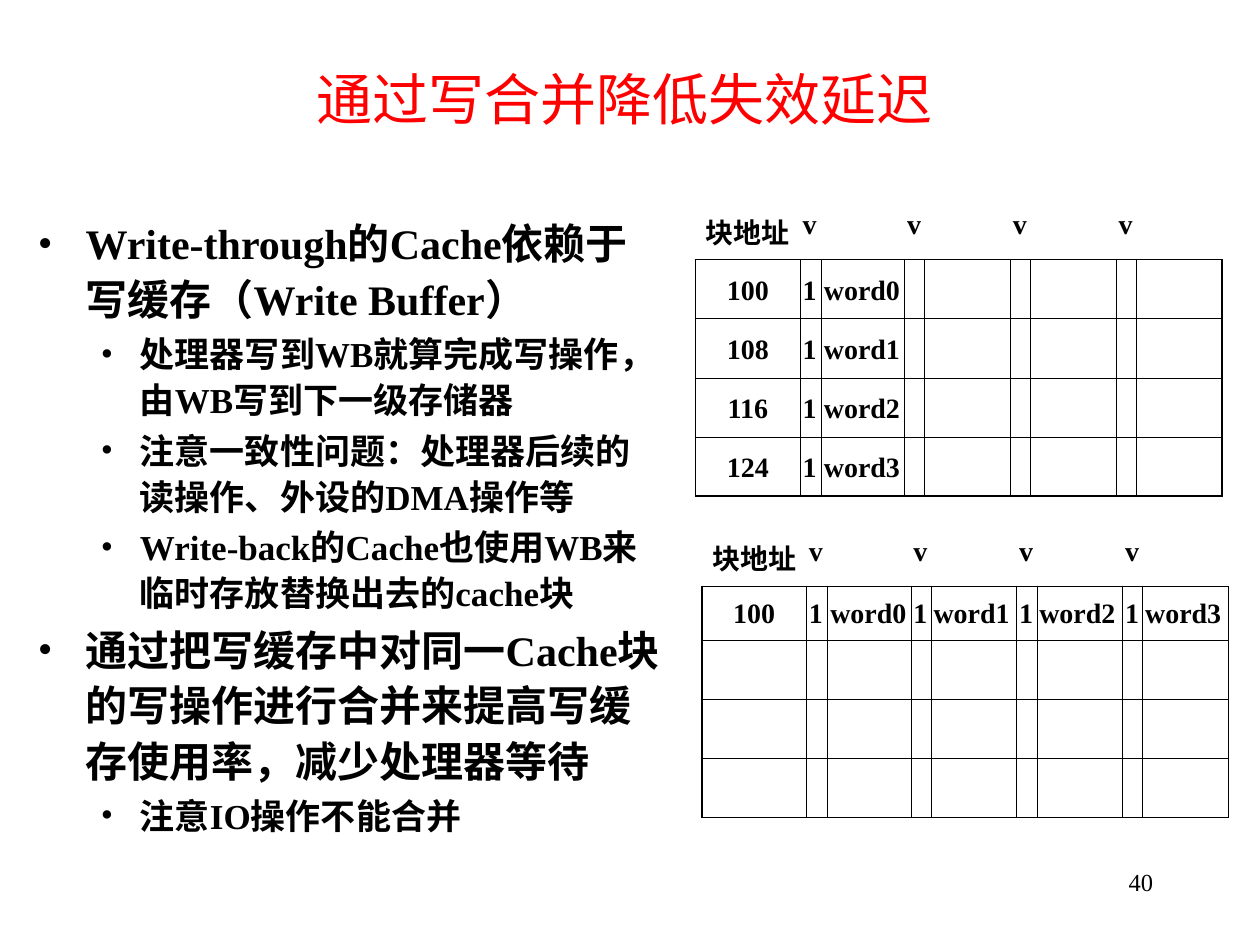
from lxml import etree
from pptx import Presentation
from pptx import util as u
from pptx.dml.color import RGBColor
from pptx.enum import text
from pptx.oxml import ns

BLACK = RGBColor(0x00, 0x00, 0x00)
RED = RGBColor(0xFF, 0x00, 0x00)
SERIF, SANS = "Times New Roman", "Arial"
NO_GRID_STYLE = "{2D5ABB26-0587-4C30-8999-92F81FD0307C}"
THIN, THICK = 0.45, 1.08

# Level: font size, left margin, hanging indent, space before
LEVELS = [(24, 0.38, -0.38, 3), (20, 0.81, -0.31, 2.5)]
POINTS = [
    (0, "Write-through的Cache依赖于写缓存（Write Buffer）"),
    (1, "处理器写到WB就算完成写操作，由WB写到下一级存储器"),
    (1, "注意一致性问题：处理器后续的读操作、外设的DMA操作等"),
    (1, "Write-back的Cache也使用WB来临时存放替换出去的cache块"),
    (0, "通过把写缓存中对同一Cache块的写操作进行合并来提高写缓存使用率，减少处理器等待"),
    (1, "注意IO操作不能合并"),
]

# Write buffer: one address column, then four pairs of valid bit and word
COLUMNS = [0.83, 0.17, 0.66] + [0.16, 0.68] * 3
WORDS = [f"word{i}" for i in range(4)]
HEADER = ["块地址"] + ["v", ""] * 4
SEPARATE_ROWS = [[str(100 + 8 * i), "1", word] for i, word in enumerate(WORDS)]
MERGED_ROWS = [["100"] + [value for word in WORDS for value in ("1", word)], [], [], []]


class SlideBuilder:
    """Holds the text style and the current slide."""

    def __init__(self, slide, font=SERIF, color=BLACK):
        self.slide, self.font, self.color = slide, font, color

    def place(self, shape, left, top, width, height):
        shape.left, shape.top = u.Inches(left), u.Inches(top)
        shape.width, shape.height = u.Inches(width), u.Inches(height)

    def add_run(self, paragraph, words, size, bold=False, font=None, color=None):
        run = paragraph.add_run()
        run.text = words
        run.font.size, run.font.bold = u.Pt(size), bold
        run.font.name = font or self.font
        run.font.color.rgb = color or self.color

    def add_title(self, words, *box):
        shape = self.slide.shapes.title
        self.place(shape, *box)
        frame = shape.text_frame
        frame.auto_size = text.MSO_AUTO_SIZE.NONE
        frame.vertical_anchor = text.MSO_ANCHOR.MIDDLE
        paragraph = frame.paragraphs[0]
        paragraph.alignment = text.PP_ALIGN.CENTER
        self.add_run(paragraph, words, 32, font=SANS, color=RED)

    def add_bullet(self, paragraph, margin, indent):
        properties = paragraph._p.get_or_add_pPr()
        properties.set("marL", str(u.Inches(margin)))
        properties.set("indent", str(u.Inches(indent)))
        color = etree.SubElement(properties, ns.qn("a:buClr"))
        etree.SubElement(color, ns.qn("a:srgbClr")).set("val", str(self.color))
        etree.SubElement(properties, ns.qn("a:buFont")).set("typeface", SERIF)
        etree.SubElement(properties, ns.qn("a:buChar")).set("char", "•")

    def add_list(self, points, *box):
        shape = self.slide.placeholders[1]
        self.place(shape, *box)
        frame = shape.text_frame
        frame.auto_size = text.MSO_AUTO_SIZE.NONE
        for index, (level, words) in enumerate(points):
            paragraph = frame.add_paragraph() if index else frame.paragraphs[0]
            size, margin, indent, before = LEVELS[level]
            paragraph.level = level
            self.add_bullet(paragraph, margin, indent)
            paragraph.line_spacing = 1.1
            paragraph.space_before = u.Pt(before if index else 0)
            self.add_run(paragraph, words, size, bold=True)

    def add_borders(self, cell, widths):
        properties = cell._tc.get_or_add_tcPr()
        # Borders come before the fill in a cell's properties
        for position, (side, width) in enumerate(widths.items()):
            line = etree.Element(ns.qn(f"a:ln{side}"), w=str(u.Pt(width)))
            fill = etree.SubElement(line, ns.qn("a:solidFill"))
            etree.SubElement(fill, ns.qn("a:srgbClr")).set("val", str(self.color))
            properties.insert(position, line)

    def fill_cell(self, cell, words, centered, anchor):
        cell.fill.background()
        cell.margin_left = cell.margin_right = u.Inches(0.02)
        cell.margin_top = cell.margin_bottom = u.Inches(0.05)
        cell.vertical_anchor = anchor
        if words:
            paragraph = cell.text_frame.paragraphs[0]
            paragraph.line_spacing = 1.1
            paragraph.alignment = text.PP_ALIGN.CENTER if centered else text.PP_ALIGN.LEFT
            self.add_run(paragraph, words, 16, bold=True)

    def add_buffer(self, rows, heights, left, top):
        rows = [HEADER] + rows
        last_row, last_column = len(rows) - 1, len(COLUMNS) - 1
        frame = self.slide.shapes.add_table(
            len(rows), len(COLUMNS), u.Inches(left), u.Inches(top),
            u.Inches(sum(COLUMNS)), u.Inches(sum(heights)))
        table = frame.table
        table.first_row = table.horz_banding = False
        table._tbl.tblPr.find(ns.qn("a:tableStyleId")).text = NO_GRID_STYLE
        for column, width in zip(table.columns, COLUMNS):
            column.width = u.Inches(width)
        for r, (row, height) in enumerate(zip(rows, heights)):
            table.rows[r].height = u.Inches(height)
            anchor = text.MSO_ANCHOR.MIDDLE if r else text.MSO_ANCHOR.TOP
            for c in range(len(COLUMNS)):
                cell = table.cell(r, c)
                self.fill_cell(cell, row[c] if c < len(row) else "", c == 0, anchor)
                # The header has only a bottom line; the outer frame is thicker
                widths = {"B": THIN} if r == 0 else {
                    "L": THICK if c == 0 else THIN,
                    "R": THICK if c == last_column else THIN,
                    "T": THIN,
                    "B": THICK if r == last_row else THIN}
                self.add_borders(cell, widths)

    def add_page_number(self, number, *box):
        shape = self.slide.shapes.add_textbox(*map(u.Inches, box))
        shape.text_frame.word_wrap = True
        paragraph = shape.text_frame.paragraphs[0]
        paragraph.alignment = text.PP_ALIGN.RIGHT
        self.add_run(paragraph, number, 14)


def main():
    presentation = Presentation()
    presentation.slide_width, presentation.slide_height = u.Inches(10), u.Inches(7.5)
    builder = SlideBuilder(presentation.slides.add_slide(presentation.slide_layouts[1]))

    # Title and explanation
    builder.add_title("通过写合并降低失效延迟 ", 0.76, 0.29, 8.5, 0.97)
    builder.add_list(POINTS, 0.2, 1.64, 5.14, 5.46)

    # Write buffer without and with merging
    builder.add_buffer(SEPARATE_ROWS, [0.47] * 5, 5.52, 1.59)
    builder.add_buffer(MERGED_ROWS, [0.47, 0.43] + [0.47] * 3, 5.57, 4.18)

    builder.add_page_number("40", 7.17, 6.83, 2.08, 0.5)
    presentation.save("out.pptx")


if __name__ == "__main__":
    main()
